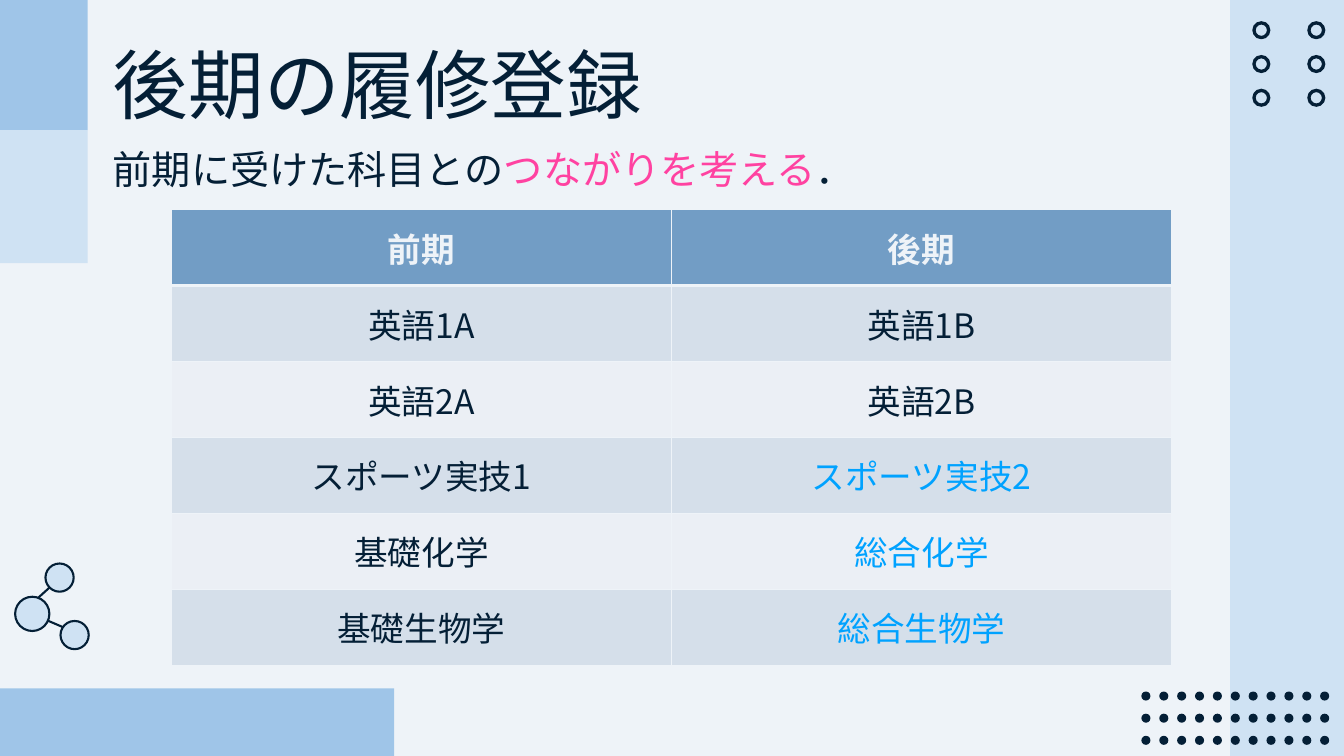
"""Build the slide on course registration for the second semester."""
import itertools
from dataclasses import dataclass

import pptx
import pptx.dml.color
import pptx.enum.shapes
import pptx.enum.text
import pptx.oxml
import pptx.oxml.ns
import pptx.util

SHAPE = pptx.enum.shapes.MSO_SHAPE
ALIGN = pptx.enum.text.PP_ALIGN
ANCHOR = pptx.enum.text.MSO_ANCHOR
FIT = pptx.enum.text.MSO_AUTO_SIZE
NS = pptx.oxml.ns.nsdecls("a")
FONT = "Noto Sans CJK KR"
WIDTH = pptx.util.Inches(13.33)
HEIGHT = pptx.util.Inches(7.5)
COLORS = {
    "back": "EEF3F8", "ink": "041F36", "pale": "CFE2F3", "sky": "9FC5E8",
    "head": "729DC5", "odd": "D5DFEA", "even": "EBEFF5",
    "pink": "FF42A1", "blue": "00A2FF",
}


@dataclass
class Box:
    """Left, top, width and height in percent of the slide."""
    x: float
    y: float
    w: float
    h: float

    def emu(self) -> tuple[int, int, int, int]:
        return across(self.x), down(self.y), across(self.w), down(self.h)


@dataclass
class Panel:
    """A plain coloured rectangle."""
    box: Box
    color: str


@dataclass
class Circle:
    """Centre in percent of the slide, diameter in percent of its height."""
    x: float
    y: float
    d: float


@dataclass
class Bond:
    """A line between two points in percent of the slide."""
    x1: float
    y1: float
    x2: float
    y2: float


@dataclass
class Course:
    """A first-semester course and the one that follows it."""
    first: str
    second: str
    color: str = "ink"


PANELS = [
    Panel(Box(91.52, 0, 8.48, 100), "pale"),
    Panel(Box(0, 91.07, 29.33, 8.93), "sky"),
    Panel(Box(0, 0, 6.53, 17.2), "sky"),
    Panel(Box(0, 17.2, 6.53, 17.6), "pale"),
]
ATOMS = [Circle(2.4, 81.2, 4.53), Circle(4.43, 76.4, 3.73), Circle(5.55, 84, 3.73)]
BONDS = [Bond(4.65, 82.93, 3.6, 82.13), Bond(3.68, 77.73, 2.85, 79.07)]
COURSES = [
    Course("英語1A", "英語1B"),
    Course("英語2A", "英語2B"),
    Course("スポーツ実技1", "スポーツ実技2", "blue"),
    Course("基礎化学", "総合化学", "blue"),
    Course("基礎生物学", "総合生物学", "blue"),
]


def across(share: float) -> int:
    return round(WIDTH * share / 100)


def down(share: float) -> int:
    return round(HEIGHT * share / 100)


def rgb(name: str) -> pptx.dml.color.RGBColor:
    return pptx.dml.color.RGBColor.from_string(COLORS[name])


def paint(fill, color: str) -> None:
    fill.solid()
    fill.fore_color.rgb = rgb(color)


def write(p, text: str, *, size: float, color: str = "ink", bold: bool = False) -> None:
    r = p.add_run()
    r.text = text
    r.font.size = pptx.util.Pt(size)
    r.font.bold = bold
    r.font.color.rgb = rgb(color)
    r.font.name = FONT
    r.font._element.append(pptx.oxml.parse_xml(f'<a:ea {NS} typeface="{FONT}"/>'))


def add_shape(s, kind, emu: tuple[int, int, int, int], color: str, line: float = 0):
    sp = s.shapes.add_shape(kind, *emu)
    sp.shadow.inherit = False
    paint(sp.fill, color)
    if line:
        sp.line.color.rgb = rgb("ink")
        sp.line.width = pptx.util.Pt(line)
    else:
        sp.line.fill.background()
    return sp


def add_circle(s, c: Circle, color: str, kind=SHAPE.OVAL, line: float = 0):
    d = down(c.d)
    return add_shape(s, kind, (across(c.x) - d // 2, down(c.y) - d // 2, d, d), color, line)


def add_bond(s, b: Bond) -> None:
    cx = s.shapes.add_connector(
        pptx.enum.shapes.MSO_CONNECTOR.STRAIGHT,
        across(b.x1), down(b.y1), across(b.x2), down(b.y2))
    cx.line.color.rgb = rgb("ink")
    cx.line.width = pptx.util.Pt(1.5)
    cx._element.spPr.append(pptx.oxml.parse_xml(f"<a:effectLst {NS}/>"))


def add_decor(s) -> None:
    for panel in PANELS:
        add_shape(s, SHAPE.RECTANGLE, panel.box.emu(), panel.color)
    for col, row in itertools.product(range(11), range(3)):
        add_circle(s, Circle(85.26 + 1.33 * col, 92.07 + 2.93 * row, 1.2), "ink")
    for col, row in itertools.product(range(2), range(3)):
        ring = Circle(93.85 + 4.09 * col, 4 + 4.47 * row, 2.4)
        add_circle(s, ring, "ink", SHAPE.DONUT).adjustments[0] = 0.19
    for atom in ATOMS:
        add_circle(s, atom, "pale", line=1.5)
    for bond in BONDS:
        add_bond(s, bond)


def add_title(s, box: Box) -> None:
    sp = s.shapes.title
    sp.left, sp.top, sp.width, sp.height = box.emu()
    tf = sp.text_frame
    tf.word_wrap = True
    tf.auto_size = FIT.NONE
    tf.vertical_anchor = ANCHOR.MIDDLE
    p = tf.paragraphs[0]
    p.alignment = ALIGN.LEFT
    p.line_spacing = 0.9
    write(p, "後期の履修登録", size=54)


def add_lead(s, box: Box) -> None:
    tf = s.shapes.add_textbox(*box.emu()).text_frame
    tf.word_wrap = False
    tf.auto_size = FIT.SHAPE_TO_FIT_TEXT
    p = tf.paragraphs[0]
    write(p, "前期に受けた科目との", size=28)
    write(p, "つながりを考える", size=28, color="pink")
    write(p, "．", size=28)


def fill_cell(cell, text: str, fill: str, color: str, top: int, bottom: int, bold: bool) -> None:
    tcPr = cell._tc.get_or_add_tcPr()
    for side, pt in (("L", 1), ("R", 1), ("T", top), ("B", bottom)):
        tcPr.append(pptx.oxml.parse_xml(
            f'<a:ln{side} {NS} w="{pptx.util.Pt(pt)}"><a:solidFill>'
            f'<a:srgbClr val="{COLORS["back"]}"/></a:solidFill></a:ln{side}>'))
    paint(cell.fill, fill)
    cell.vertical_anchor = ANCHOR.MIDDLE
    p = cell.text_frame.paragraphs[0]
    p.alignment = ALIGN.CENTER
    write(p, text, size=24, color=color, bold=bold)


def add_courses(s, box: Box) -> None:
    tbl = s.shapes.add_table(len(COURSES) + 1, 2, *box.emu()).table
    for col, text in enumerate(("前期", "後期")):
        fill_cell(tbl.cell(0, col), text, "head", "back", 1, 3, True)
    for row, course in enumerate(COURSES, 1):
        fill = "odd" if row % 2 else "even"
        top = 3 if row == 1 else 1
        fill_cell(tbl.cell(row, 0), course.first, fill, "ink", top, 1, False)
        fill_cell(tbl.cell(row, 1), course.second, fill, course.color, top, 1, False)


def main() -> None:
    prs = pptx.Presentation()
    prs.slide_width, prs.slide_height = WIDTH, HEIGHT
    s = prs.slides.add_slide(prs.slide_layouts[5])
    paint(s.background.fill, "back")
    add_decor(s)
    add_title(s, Box(7.65, 5.2, 86.57, 13.2))
    add_lead(s, Box(7.65, 18.53, 57.46, 7.6))
    add_courses(s, Box(12.75, 27.73, 74.42, 60.27))
    prs.save("out.pptx")


if __name__ == "__main__":
    main()
